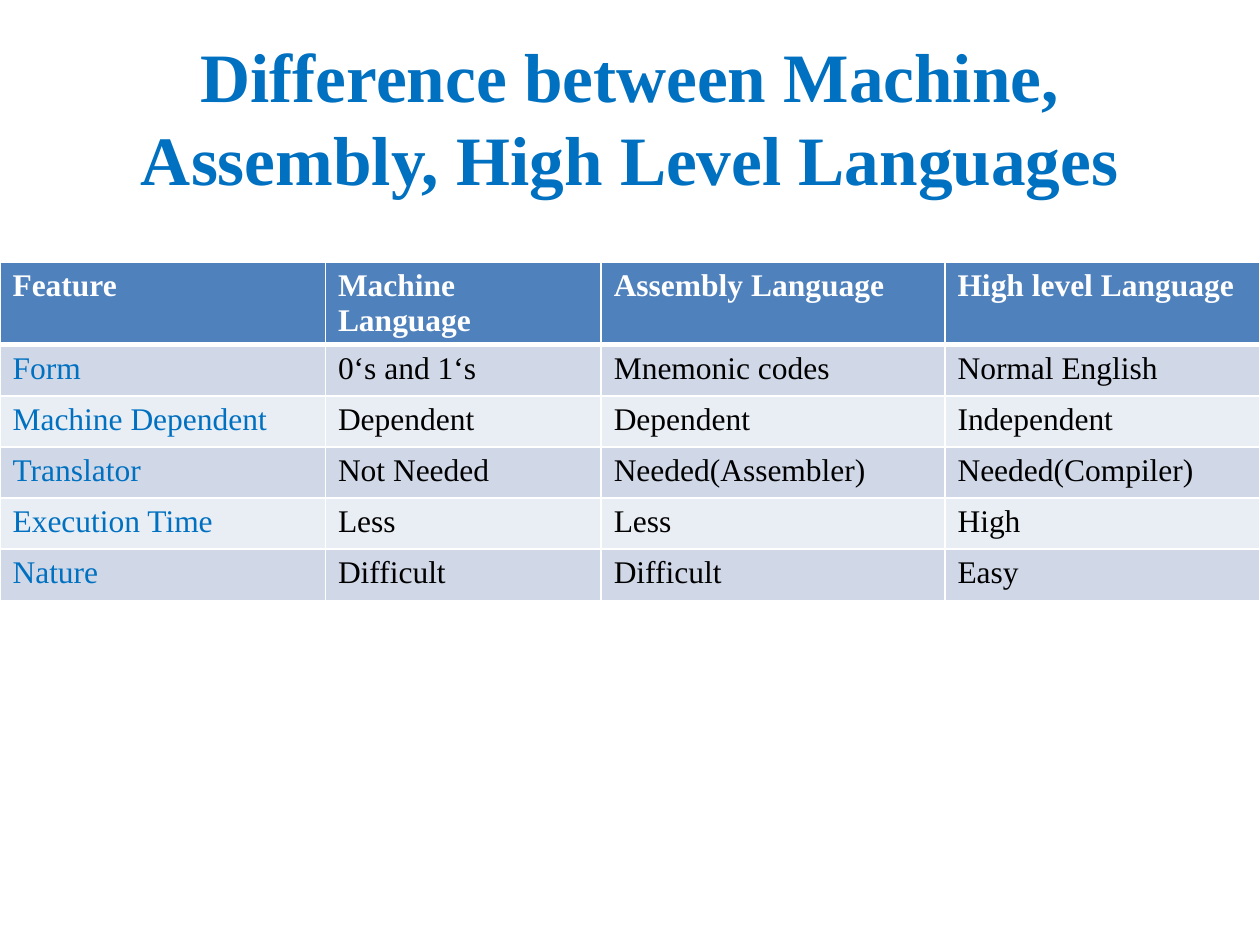
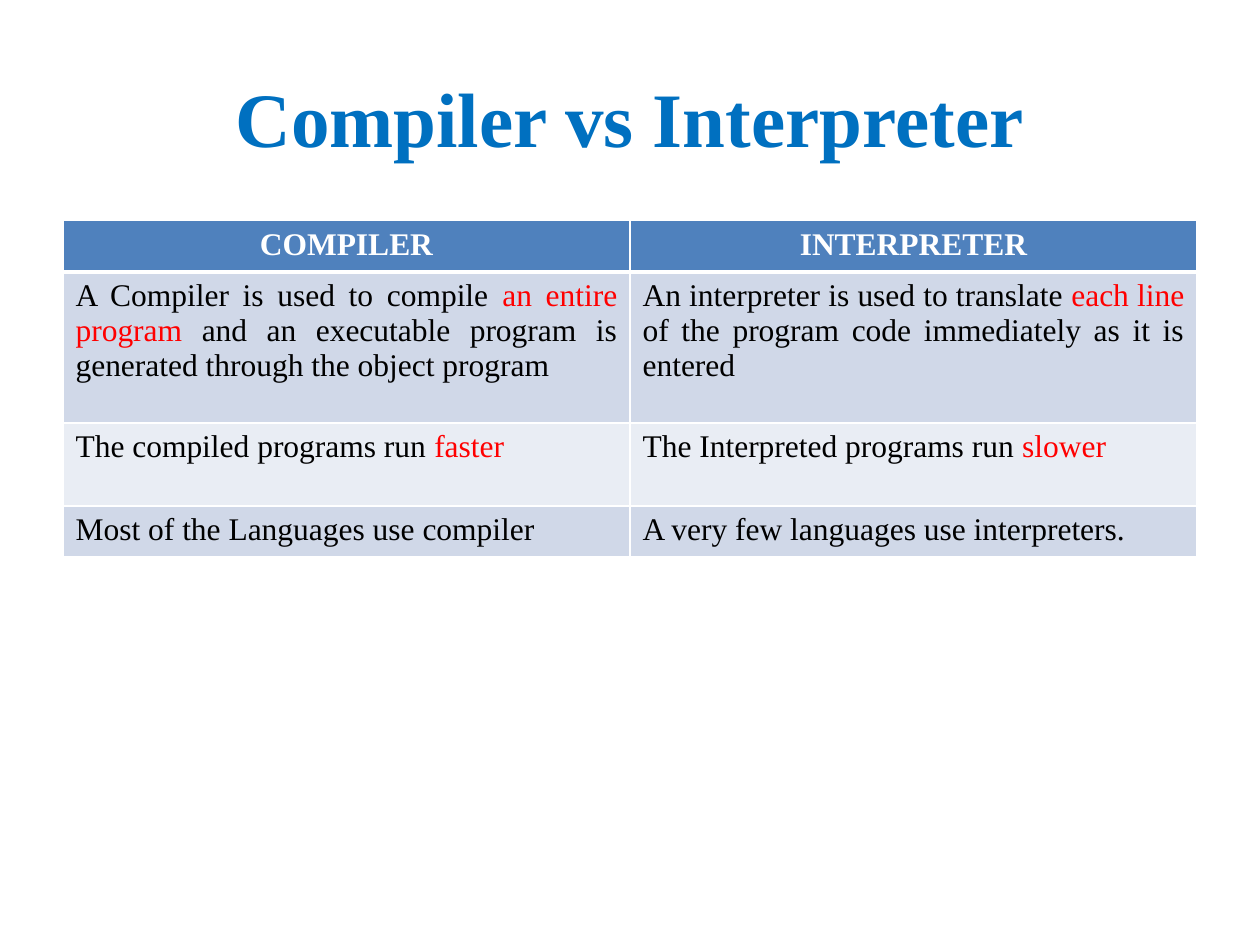
from lxml import etree
from pptx import Presentation
from pptx.dml.color import RGBColor
from pptx.enum.text import MSO_ANCHOR, MSO_AUTO_SIZE, PP_ALIGN
from pptx.oxml.ns import qn
from pptx.util import Cm, Pt

LEFT, CENTER, JUSTIFY = PP_ALIGN.LEFT, PP_ALIGN.CENTER, PP_ALIGN.JUSTIFY
MIDDLE = MSO_ANCHOR.MIDDLE
NO_AUTOFIT = MSO_AUTO_SIZE.NONE
TITLE_ONLY = 5

FONT = "Times New Roman"
COLORS = {
    "accent": "0070C0",
    "emphasis": "FF0000",
    "text": "000000",
    "white": "FFFFFF",
    "header": "4F81BD",
    "odd_band": "D0D8E8",
    "even_band": "E9EDF4",
}
TITLE_BOX = (1.27, 0.76, 22.86, 3.18)

LANGUAGE_ROWS = [
    ["Feature", "Machine Language", "Assembly Language", "High level Language"],
    ["Form", "0‘s and 1‘s", "Mnemonic codes", "Normal English"],
    ["Machine Dependent", "Dependent", "Dependent", "Independent"],
    ["Translator", "Not Needed", "Needed(Assembler)", "Needed(Compiler)"],
    ["Execution Time", "Less", "Less", "High"],
    ["Nature", "Difficult", "Difficult", "Easy"],
]
# Text between bars is emphasised.
COMPILER_ROWS = [
    ["COMPILER", "INTERPRETER"],
    ["A Compiler is used to compile |an entire program| and an executable "
     "program is generated through the object program",
     "An interpreter is used to translate |each line| of the program code "
     "immediately as it is entered"],
    ["The compiled programs run |faster", "The Interpreted programs run| slower"],
    ["Most of the Languages use compiler", "A very few languages use interpreters."],
]


def rgb(name):
    """Return the named palette colour."""
    return RGBColor.from_string(COLORS[name])


def format_run(run, size, color, bold=False):
    """Apply the shared typeface with a size, colour and weight."""
    run.font.name = FONT
    run.font.size = Pt(size)
    run.font.bold = bold
    run.font.color.rgb = rgb(color)


def add_titled_slide(presentation, title_text, size):
    """Add a title-only slide with the shared title style."""
    slide = presentation.slides.add_slide(presentation.slide_layouts[TITLE_ONLY])
    title = slide.shapes.title
    title.left, title.top, title.width, title.height = map(Cm, TITLE_BOX)
    frame = title.text_frame
    frame.text = title_text
    frame.word_wrap = True
    frame.auto_size = NO_AUTOFIT
    frame.vertical_anchor = MIDDLE
    paragraph = frame.paragraphs[0]
    paragraph.alignment = CENTER
    format_run(paragraph.runs[0], size, "accent", bold=True)
    return slide


def set_borders(cell, top, bottom):
    """Draw white cell borders, 1 pt at the sides."""
    properties = cell._tc.get_or_add_tcPr()
    for side, width in (("L", 1), ("R", 1), ("T", top), ("B", bottom)):
        line = etree.SubElement(properties, qn(f"a:ln{side}"), w=str(Pt(width)))
        fill = etree.SubElement(line, qn("a:solidFill"))
        etree.SubElement(fill, qn("a:srgbClr"), val=COLORS["white"])


def fill_cell(cell, text, row, color, alignment):
    """Write and style one cell of a header row or a banded body row."""
    header = row == 0
    set_borders(cell, top=3 if row == 1 else 1, bottom=3 if header else 1)
    cell.fill.solid()
    band = "odd_band" if row % 2 else "even_band"
    cell.fill.fore_color.rgb = rgb("header" if header else band)
    paragraph = cell.text_frame.paragraphs[0]
    paragraph.alignment = alignment
    for index, part in enumerate(text.split("|")):
        run = paragraph.add_run()
        run.text = part
        format_run(run, 18, "emphasis" if index % 2 else color, bold=header)


def add_comparison(slide, left, top, widths, heights, rows,
                   header_alignment, body_alignment, label_color="text"):
    """Place a banded table; label_color colours the first body column."""
    table = slide.shapes.add_table(
        len(rows), len(widths), Cm(left), Cm(top),
        Cm(sum(widths)), Cm(sum(heights))).table
    for column, width in zip(table.columns, widths):
        column.width = Cm(width)
    for row, (texts, height) in enumerate(zip(rows, heights)):
        table.rows[row].height = Cm(height)
        alignment = body_alignment if row else header_alignment
        for column, text in enumerate(texts):
            color = "white" if row == 0 else "text" if column else label_color
            fill_cell(table.cell(row, column), text, row, color, alignment)


presentation = Presentation()
presentation.slide_width, presentation.slide_height = Cm(25.4), Cm(19.05)

languages = add_titled_slide(
    presentation, "Difference between Machine, Assembly, High Level Languages", 39.6)
add_comparison(languages, 0, 5.29, [6.56, 5.56, 6.93, 6.35], [1.65] + [1.03] * 5,
               LANGUAGE_ROWS, LEFT, LEFT, label_color="accent")

compiler = add_titled_slide(presentation, "Compiler vs Interpreter", 44)
add_comparison(compiler, 1.27, 4.45, [11.43] * 2, [1.03, 3.05, 1.67, 1.03],
               COMPILER_ROWS, CENTER, JUSTIFY)

presentation.save("out.pptx")
